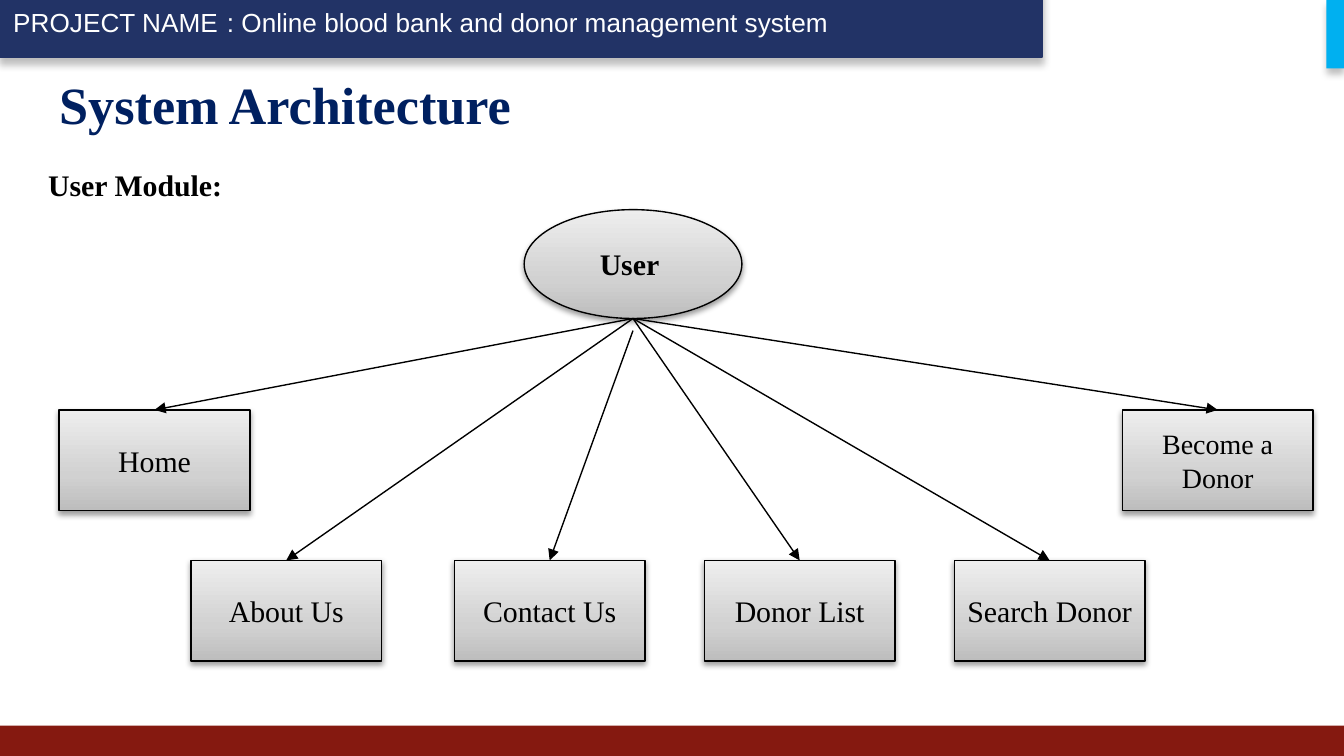
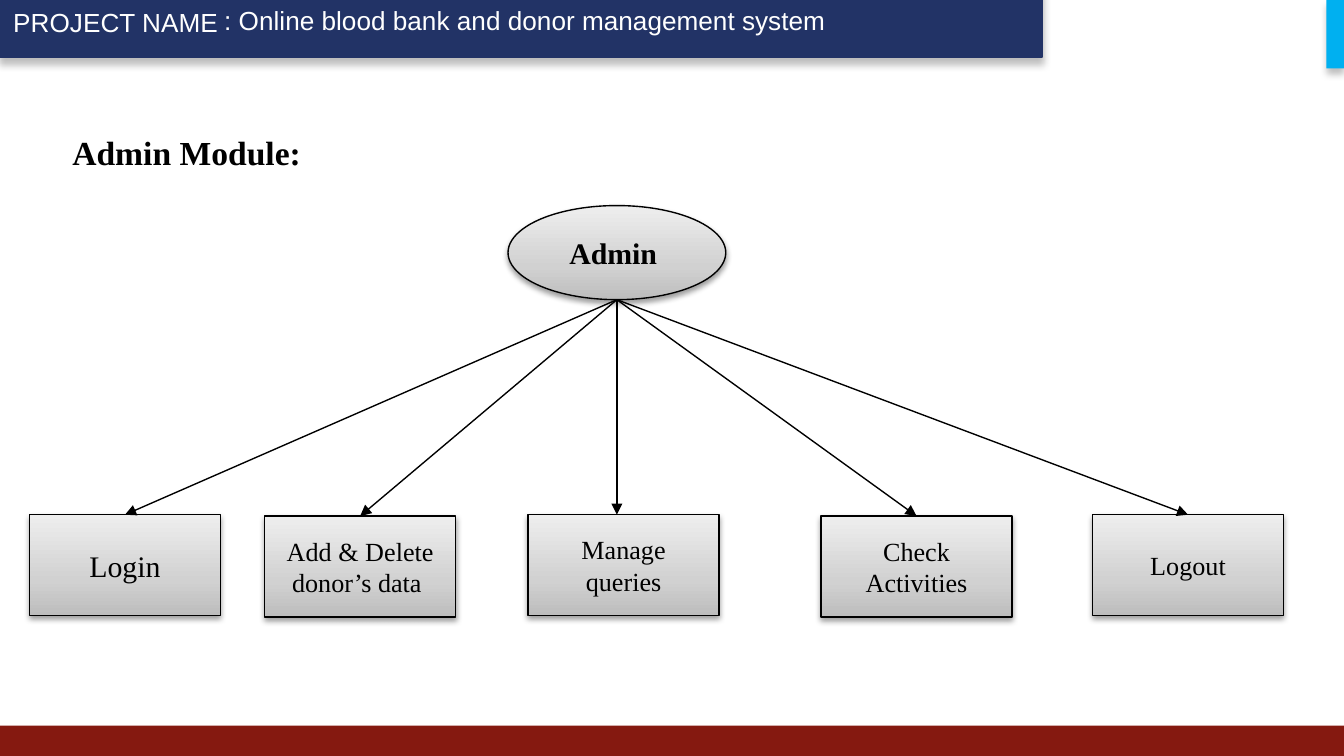
"""Build the two module diagrams of the blood bank system architecture."""
from copy import deepcopy
from dataclasses import dataclass
from typing import Optional

from lxml.etree import SubElement
from pptx import Presentation
from pptx.dml.color import RGBColor
from pptx.enum.shapes import MSO_CONNECTOR, MSO_SHAPE
from pptx.enum.text import MSO_ANCHOR, MSO_AUTO_SIZE, PP_ALIGN
from pptx.oxml.ns import qn
from pptx.shapes.autoshape import Shape
from pptx.slide import Slide
from pptx.util import Inches, Pt

BLACK = RGBColor(0x00, 0x00, 0x00)
WHITE = RGBColor(0xFF, 0xFF, 0xFF)
NAVY = RGBColor(0x22, 0x33, 0x66)
TITLE_BLUE = RGBColor(0x00, 0x20, 0x60)
MAROON = RGBColor(0x85, 0x19, 0x10)
SKY = RGBColor(0x00, 0xB0, 0xF0)
NODE_STOPS = (
    (0, RGBColor(0xBD, 0xBD, 0xBD)),
    (0.35, RGBColor(0xD1, 0xD1, 0xD1)),
    (1, RGBColor(0xEE, 0xEE, 0xEE)),
)
SERIF = "Times New Roman"
SANS = "Arial"
SLIDE_W = Inches(10)
SLIDE_H = SLIDE_W * 9 // 16
NODE_W, NODE_H, ROOT_W = 1.42, 0.75, 1.62
PROJECT = ": Online blood bank and donor management system"


@dataclass(frozen=True)
class Box:
    """Position and size in inches."""

    x: float
    y: float
    w: float
    h: float


@dataclass(frozen=True)
class Style:
    """Text formatting of one paragraph."""

    size: float
    font: str = SERIF
    color: RGBColor = BLACK
    bold: bool = False
    align: PP_ALIGN = PP_ALIGN.LEFT


@dataclass(frozen=True)
class Band:
    """Plain coloured bar on the slide edge."""

    box: Box
    color: RGBColor
    shadow: bool = False


@dataclass(frozen=True)
class Node:
    """Page of a module and the arrow that reaches it."""

    text: str
    x: float
    y: float
    size: float = 16
    wrap: bool = True
    gap: float = 0
    vertical: bool = False


@dataclass(frozen=True)
class Module:
    """Content of one slide."""

    heading: str
    heading_box: Box
    heading_size: float
    project_box: Box
    root: str
    root_box: Box
    nodes: tuple[Node, ...]
    title: Optional[str] = None


HEADER = Band(Box(0, -0.09, 7.75, 0.51), NAVY, True)
FOOTER = Band(Box(0, 5.4, 10, 0.23), MAROON)
CORNER = Band(Box(9.87, 0, 0.13, 0.51), SKY, True)
TITLE_BOX = Box(0.34, 0.49, 9.32, 0.57)
HEADER_STYLE = Style(14, SANS, WHITE)

MODULES = (
    Module(
        title="System Architecture",
        heading="User Module:",
        heading_box=Box(0.26, 1.19, 9.21, 0.64),
        heading_size=16,
        project_box=Box(1.59, 0, 5.07, 0.57),
        root="User ",
        root_box=Box(3.9, 1.56, ROOT_W, 0.81),
        nodes=(
            Node("Home", 0.44, 3.05),
            Node("About Us", 1.42, 4.17),
            Node("Contact Us", 3.38, 4.17, gap=0.09),
            Node("Donor List", 5.24, 4.17),
            Node("Search Donor", 7.1, 4.17, wrap=False),
            Node("Become a Donor", 8.35, 3.05, 15),
        ),
    ),
    Module(
        heading="Admin Module:",
        heading_box=Box(0.44, 0.93, 5.27, 0.4),
        heading_size=18,
        project_box=Box(1.57, -0.02, 5.07, 0.34),
        root="Admin ",
        root_box=Box(3.78, 1.53, ROOT_W, 0.7),
        nodes=(
            Node("Login", 0.22, 3.83),
            Node("Add & Delete donor’s data ", 1.97, 3.84, 14),
            Node("Manage queries", 3.93, 3.83, 14, vertical=True),
            Node("Check Activities", 6.11, 3.84, 14),
            Node("Logout", 8.13, 3.83, 14),
        ),
    ),
)


def lengths(box: Box) -> tuple[Inches, ...]:
    """Return the box as left, top, width and height."""
    return tuple(Inches(v) for v in (box.x, box.y, box.w, box.h))


def write(sp: Shape, text: str, style: Style) -> None:
    """Put one formatted paragraph into a shape."""
    tf = sp.text_frame
    tf.word_wrap = True
    p = tf.paragraphs[0]
    p.text = text
    p.alignment = style.align
    p.font.size = Pt(style.size)
    p.font.name = style.font
    p.font.bold = style.bold
    p.font.color.rgb = style.color


def add_text(slide: Slide, box: Box, text: str, style: Style) -> None:
    """Add a text box that grows with its text."""
    sp = slide.shapes.add_textbox(*lengths(box))
    write(sp, text, style)
    sp.text_frame.auto_size = MSO_AUTO_SIZE.SHAPE_TO_FIT_TEXT


def add_shadow(sp: Shape, alpha: int, blur: float, dist: float) -> None:
    """Give a shape a black shadow that falls straight down."""
    sp.shadow.inherit = False
    effects = sp.element.spPr.find(qn("a:effectLst"))
    outer = SubElement(effects, qn("a:outerShdw"), blurRad=str(Pt(blur)),
                       dist=str(Pt(dist)), dir="5400000", rotWithShape="0")
    color = SubElement(outer, qn("a:srgbClr"), val=str(BLACK))
    SubElement(color, qn("a:alpha"), val=str(alpha * 1000))


def add_band(slide: Slide, band: Band) -> Shape:
    """Draw an edge bar."""
    sp = slide.shapes.add_shape(MSO_SHAPE.RECTANGLE, *lengths(band.box))
    sp.shadow.inherit = False
    sp.fill.solid()
    sp.fill.fore_color.rgb = band.color
    sp.line.fill.background()
    if band.shadow:
        add_shadow(sp, 25, 4, 3)
    return sp


def add_frame(slide: Slide) -> None:
    """Draw the bars that every slide shares."""
    header = add_band(slide, HEADER)
    header.line.color.rgb = NAVY
    header.line.width = Pt(2)
    header.text_frame.vertical_anchor = MSO_ANCHOR.MIDDLE
    write(header, "PROJECT NAME", HEADER_STYLE)
    add_band(slide, FOOTER)
    add_band(slide, CORNER)


def add_node(slide: Slide, kind: MSO_SHAPE, box: Box, text: str, size: float,
             bold: bool = False) -> Shape:
    """Draw a grey gradient shape with a centred label."""
    sp = slide.shapes.add_shape(kind, *lengths(box))
    sp.fill.gradient()
    sp.fill.gradient_angle = 90
    stops = sp.element.spPr.find(f".//{qn('a:gsLst')}")
    stops.append(deepcopy(stops[-1]))
    for stop, (position, color) in zip(sp.fill.gradient_stops, NODE_STOPS):
        stop.position = position
        stop.color.rgb = color
    sp.line.color.rgb = BLACK
    sp.line.width = Pt(0.75)
    add_shadow(sp, 38, 3.1, 1.6)
    sp.text_frame.vertical_anchor = MSO_ANCHOR.MIDDLE
    write(sp, text, Style(size, bold=bold, align=PP_ALIGN.CENTER))
    return sp


def add_arrow(slide: Slide, root: Box, node: Node, target: Shape) -> None:
    """Draw an arrow from the bottom of the root to the top of a node."""
    x = Inches(root.x + root.w / 2)
    y = Inches(root.y + root.h + node.gap)
    line = slide.shapes.add_connector(MSO_CONNECTOR.STRAIGHT, x, y, x, Inches(node.y))
    if not node.vertical:
        line.end_connect(target, 0)
    line.line.color.rgb = BLACK
    line.line.width = Pt(0.75)
    SubElement(line.element.spPr.find(qn("a:ln")), qn("a:tailEnd"), type="triangle")
    SubElement(line.element.spPr, qn("a:effectLst"))


def set_title(slide: Slide, text: str) -> None:
    """Fill and place the title placeholder."""
    sp = slide.shapes.title
    sp.left, sp.top, sp.width, sp.height = lengths(TITLE_BOX)
    write(sp, text, Style(28, color=TITLE_BLUE, bold=True))
    sp.text_frame.vertical_anchor = MSO_ANCHOR.TOP
    sp.text_frame.auto_size = MSO_AUTO_SIZE.SHAPE_TO_FIT_TEXT


def add_module(prs: Presentation, module: Module) -> None:
    """Build one module slide."""
    slide = prs.slides.add_slide(prs.slide_layouts[5 if module.title else 6])
    add_frame(slide)
    if module.title:
        set_title(slide, module.title)
    add_text(slide, module.heading_box, module.heading,
             Style(module.heading_size, bold=True, align=PP_ALIGN.JUSTIFY))
    add_node(slide, MSO_SHAPE.OVAL, module.root_box, module.root, 16, True)
    for node in module.nodes:
        box = Box(node.x, node.y, NODE_W, NODE_H)
        sp = add_node(slide, MSO_SHAPE.RECTANGLE, box, node.text, node.size)
        sp.text_frame.word_wrap = node.wrap
        add_arrow(slide, module.root_box, node, sp)
    add_text(slide, module.project_box, PROJECT, HEADER_STYLE)


def main() -> None:
    """Create and save the presentation."""
    prs = Presentation()
    prs.slide_width, prs.slide_height = SLIDE_W, SLIDE_H
    for module in MODULES:
        add_module(prs, module)
    prs.save("out.pptx")


if __name__ == "__main__":
    main()
